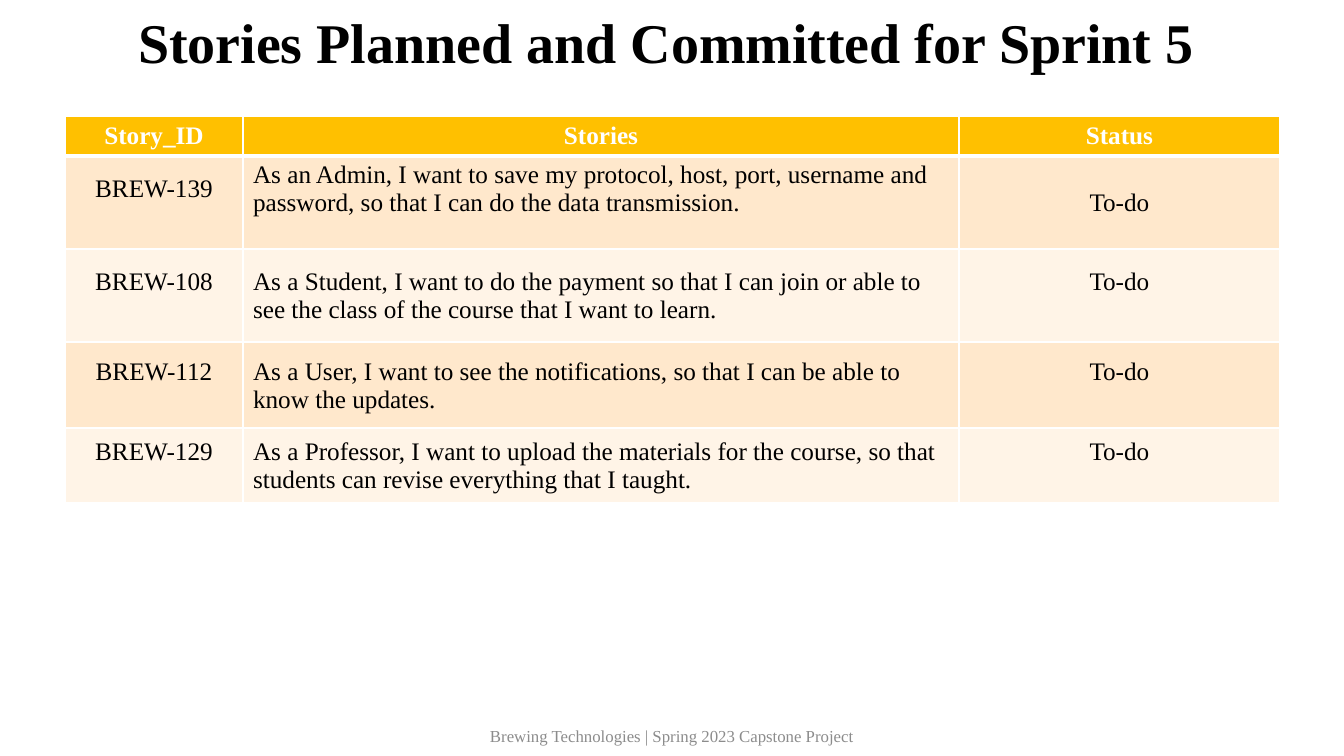
from lxml import etree
from pptx import Presentation
from pptx.dml.color import RGBColor
from pptx.enum.text import MSO_ANCHOR, PP_ALIGN
from pptx.oxml.ns import qn
from pptx.util import Emu, Pt

LEFT, CENTER = PP_ALIGN.LEFT, PP_ALIGN.CENTER
TOP, MIDDLE = MSO_ANCHOR.TOP, MSO_ANCHOR.MIDDLE

TITLE = "Stories Planned and Committed for Sprint 5"
FOOTER = "Brewing Technologies | Spring 2023 Capstone Project"
HEADER = ("Story_ID", "Stories", "Status")
STORIES = [
    ("BREW-139", "As an Admin, I want to save my protocol, host, port, username and "
                 "password, so that I can do the data transmission.", "To-do"),
    ("BREW-108", "As a Student, I want to do the payment so that I can join or able to "
                 "see the class of the course that I want to learn.", "To-do"),
    ("BREW-112", "As a User, I want to see the notifications, so that I can be able to "
                 "know the updates.", "To-do"),
    ("BREW-129", "As a Professor, I want to upload the materials for the course, so that "
                 "students can revise everything that I taught.", "To-do"),
]
COL_WIDTHS = (178, 716, 321)
ROW_HEIGHTS = (40, 93, 93, 86, 75)
TEXT_TOPS = [(19, 5, 33), (19, 19, 19), (16, 16, 16), (10, 10, 10)]
ALIGNS = (CENTER, LEFT, CENTER)
COLORS = {"black": "000000", "white": "FFFFFF", "footer": "8C8C8C",
          "header": "FFC000", "odd": "FFE8CC", "even": "FFF4E7"}
FONT = "Times New Roman"
SCALE = 914400 / 100.8


def px(n):
    return Emu(round(n * SCALE))


def write(tf, text, size, color, bold=False, align=LEFT):
    tf.text = text
    tf.word_wrap = True
    p = tf.paragraphs[0]
    p.alignment = align
    font = p.runs[0].font
    font.name, font.size, font.bold = FONT, Pt(size), bold
    font.color.rgb = RGBColor.from_string(COLORS[color])
    return p


def add_borders(cell, widths):
    tcPr = cell._tc.get_or_add_tcPr()
    for i, (side, width) in enumerate(widths.items()):
        ln = etree.Element(qn("a:ln" + side), w=str(Pt(width)))
        fill = etree.SubElement(ln, qn("a:solidFill"))
        etree.SubElement(fill, qn("a:srgbClr"), val=COLORS["white"])
        tcPr.insert(i, ln)


def add_story_table(slide):
    rows = [HEADER] + STORIES
    table = slide.shapes.add_table(len(rows), len(HEADER), px(65), px(116),
                                   px(sum(COL_WIDTHS)), px(sum(ROW_HEIGHTS))).table
    for col, width in zip(table.columns, COL_WIDTHS):
        col.width = px(width)
    for r, (row, height) in enumerate(zip(rows, ROW_HEIGHTS)):
        table.rows[r].height = px(height)
        for c, text in enumerate(row):
            cell = table.cell(r, c)
            header = r == 0
            write(cell.text_frame, text, 18, "white" if header else "black",
                  header, CENTER if header else ALIGNS[c])
            cell.vertical_anchor = MIDDLE if header else TOP
            cell.margin_top = px(5 if header else TEXT_TOPS[r - 1][c])
            cell.margin_bottom = px(5)
            cell.fill.solid()
            fill = "header" if header else "odd" if r % 2 else "even"
            cell.fill.fore_color.rgb = RGBColor.from_string(COLORS[fill])
            add_borders(cell, {"L": 1, "R": 1, "T": 3 if r == 1 else 1,
                               "B": 3 if header else 1})


def main():
    prs = Presentation()
    prs.slide_width, prs.slide_height = px(1344), px(756)
    slide = prs.slides.add_slide(prs.slide_layouts[5])

    title = slide.shapes.title
    title.left, title.top, title.width, title.height = px(128), px(10), px(1089), px(71)
    p = write(title.text_frame, TITLE, 40, "black", True)
    p.line_spacing = 0.9
    title.text_frame.vertical_anchor = MIDDLE

    add_story_table(slide)

    footer = slide.shapes.add_textbox(px(445), px(716), px(454), px(40))
    write(footer.text_frame, FOOTER, 12, "footer", align=CENTER)
    footer.text_frame.vertical_anchor = MIDDLE

    prs.save("out.pptx")


if __name__ == "__main__":
    main()
